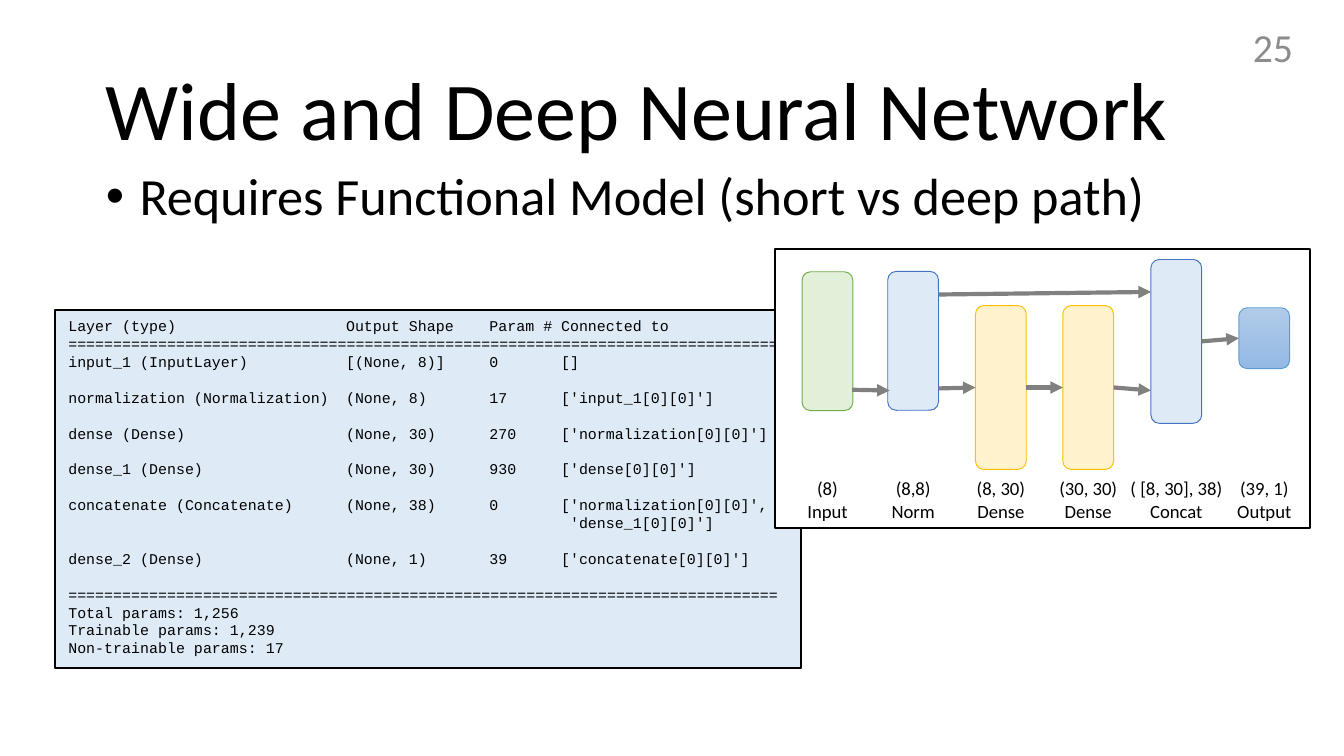
from pptx import Presentation
from pptx.dml.color import RGBColor
from pptx.enum.shapes import MSO_CONNECTOR as CONN, MSO_SHAPE as SHAPE
from pptx.enum.text import MSO_ANCHOR as ANCHOR, PP_ALIGN as ALIGN
from pptx.oxml.ns import qn
from pptx.util import Pt
from lxml.etree import SubElement

RIGHT, LEFT = 3, 1


def rgb(value):
    return RGBColor.from_string(value)


def write(p, text, font="Calibri", size=10, color="000000", align=None,
          spacing=None, before=0):
    p.alignment = align
    p.line_spacing = spacing
    p.space_before = Pt(before)
    r = p.add_run()
    r.text = text
    r.font.name, r.font.size = font, Pt(size)
    r.font.color.rgb = rgb(color)


def add_bullet(p, indent):
    pPr = p._p.get_or_add_pPr()
    pPr.set("marL", str(Pt(indent)))
    pPr.set("indent", str(-Pt(indent)))
    SubElement(pPr, qn("a:buFont")).set("typeface", "Arial")
    SubElement(pPr, qn("a:buChar")).set("char", "•")


def add_tabs(p, stops):
    tabs = SubElement(p._p.get_or_add_pPr(), qn("a:tabLst"))
    for stop in stops:
        SubElement(tabs, qn("a:tab"), pos=str(Pt(stop)), algn="l")


class Deck:
    ink, arrow_color = "000000", "808080"

    def __init__(self, width, height):
        self.prs = Presentation()
        self.prs.slide_width, self.prs.slide_height = Pt(width), Pt(height)
        self.s = self.prs.slides.add_slide(self.prs.slide_layouts[6])

    def text(self, box, lines, anchor=ANCHOR.MIDDLE, bullet=None, side=7.2, **style):
        tf = self.s.shapes.add_textbox(*map(Pt, box)).text_frame
        tf.word_wrap = True
        tf.vertical_anchor = anchor
        tf.margin_left = tf.margin_right = Pt(side)
        for i, line in enumerate(lines):
            p = tf.add_paragraph() if i else tf.paragraphs[0]
            if bullet:
                add_bullet(p, bullet)
            write(p, line, **style)

    def box(self, box, fill, line=ink, weight=1, kind=SHAPE.RECTANGLE):
        sp = self.s.shapes.add_shape(kind, *map(Pt, box))
        sp.shadow.inherit = False
        if isinstance(fill, tuple):
            sp.fill.gradient()
            sp.fill.gradient_angle = 270
            for stop, position, color in zip(sp.fill.gradient_stops, (0, 1), fill):
                stop.position, stop.color.rgb = position, rgb(color)
        else:
            sp.fill.solid()
            sp.fill.fore_color.rgb = rgb(fill)
        sp.line.color.rgb, sp.line.width = rgb(line), Pt(weight)
        return sp

    def listing(self, box, fill, rows, stops, pitch):
        tf = self.box(box, fill).text_frame
        tf.word_wrap = True
        tf.vertical_anchor = ANCHOR.TOP
        for i, (gap, line) in enumerate(rows):
            p = tf.add_paragraph() if i else tf.paragraphs[0]
            add_tabs(p, stops)
            write(p, line, font="Courier New", size=8, align=ALIGN.LEFT,
                  spacing=Pt(pitch), before=gap * pitch)

    def arrow(self, start, end, source=None, target=None):
        cx = self.s.shapes.add_connector(CONN.STRAIGHT, *map(Pt, start + end))
        if source is not None:
            cx.begin_connect(source, RIGHT)
        if target is not None:
            cx.end_connect(target, LEFT)
        cx.line.color.rgb, cx.line.width = rgb(self.arrow_color), Pt(2.25)
        SubElement(cx.line._get_or_add_ln(), qn("a:tailEnd")).set("type", "triangle")
        SubElement(cx._element.spPr, qn("a:effectLst"))


def main():
    deck = Deck(720, 405)

    # Page number, title and bullet
    deck.text((537.8, 14.4, 162, 21.6), ["25"], size=21.3, color="8C8C8C",
              align=ALIGN.RIGHT)
    deck.text((49.7, 21.6, 620.6, 78.5), ["Wide and Deep Neural Network"],
              size=44, spacing=0.9)
    deck.text((49.7, 87.8, 613.4, 45.4),
              ["Requires Functional Model (short vs deep path)"],
              anchor=ANCHOR.TOP, bullet=18, size=28, spacing=0.9)

    # Model summary: blank lines above each row, then its text
    rule = "=" * 79
    summary = [
        (0, "Layer (type)\tOutput Shape\tParam #\tConnected to"),
        (0, rule),
        (0, "input_1 (InputLayer)\t[(None, 8)]\t0\t[]"),
        (1, "normalization (Normalization)\t(None, 8)\t17\t['input_1[0][0]']"),
        (1, "dense (Dense)\t(None, 30)\t270\t['normalization[0][0]']"),
        (1, "dense_1 (Dense)\t(None, 30)\t930\t['dense[0][0]']"),
        (1, "concatenate (Concatenate)\t(None, 38)\t0\t['normalization[0][0]',"),
        (0, "\t\t\t 'dense_1[0][0]']"),
        (1, "dense_2 (Dense)\t(None, 1)\t39\t['concatenate[0][0]']"),
        (1, rule),
        (0, "Total params: 1,256"),
        (0, "Trainable params: 1,239"),
        (0, "Non-trainable params: 17"),
    ]
    char = 4.8
    deck.listing((29.5, 166.3, 399.6, 191.5), "DEEBF7", summary,
                 [char * n for n in (31, 47, 55)], pitch=9.58)

    # Network panel with one block and label per layer
    deck.box((415.4, 133.2, 286.6, 149.8), "FFFFFF")
    green, blue = ("E2F0D9", "70AD47"), ("DEEBF7", "4472C4")
    yellow, gradient = ("FFF2CC", "FFC000"), (("B1CBE9", "93B9E4"), "5B9BD5")
    layers = [  # centre, top, height, colours, shape, name, label width
        (443.3, 145.6, 74.4, green, "(8)", "Input", 39.6),
        (489.2, 145.4, 74.4, blue, "(8,8)", "Norm", 39.6),
        (536.2, 163.7, 87.8, yellow, "(8, 30)", "Dense", 50.4),
        (583, 163.7, 87.8, yellow, "(30, 30)", "Dense", 50.4),
        (630.2, 139, 87.8, blue, "( [8, 30], 38)", "Concat", 72),
        (677.3, 164.9, 32.6, gradient, "(39, 1)", "Output", 47.5),
    ]
    width, blocks = 27.2, []
    for x, top, height, (fill, line), shape, name, label in layers:
        blocks.append(deck.box((x - width / 2, top, width, height), fill, line,
                               0.5, SHAPE.ROUNDED_RECTANGLE))
        deck.text((x - label / 2, 251.5, label, 32), [shape, name], side=0,
                  align=ALIGN.CENTER)

    # Deep path, short path and output
    norm, dense_1, dense_2, concat, output = blocks[1:]
    deck.arrow((456.5, 208.8), (476.6, 209.2))
    deck.arrow((502.8, 208.1), (522.6, 207.6), target=dense_1)
    deck.arrow((549.8, 207.6), (569.4, 207.6), dense_1, dense_2)
    deck.arrow((596.6, 207.6), (616.6, 209.2), source=dense_2)
    deck.arrow((502.8, 157.8), (616.6, 156.4))
    deck.arrow((643.8, 182.9), (663.7, 181.2), concat, output)

    deck.prs.save("out.pptx")


if __name__ == "__main__":
    main()
